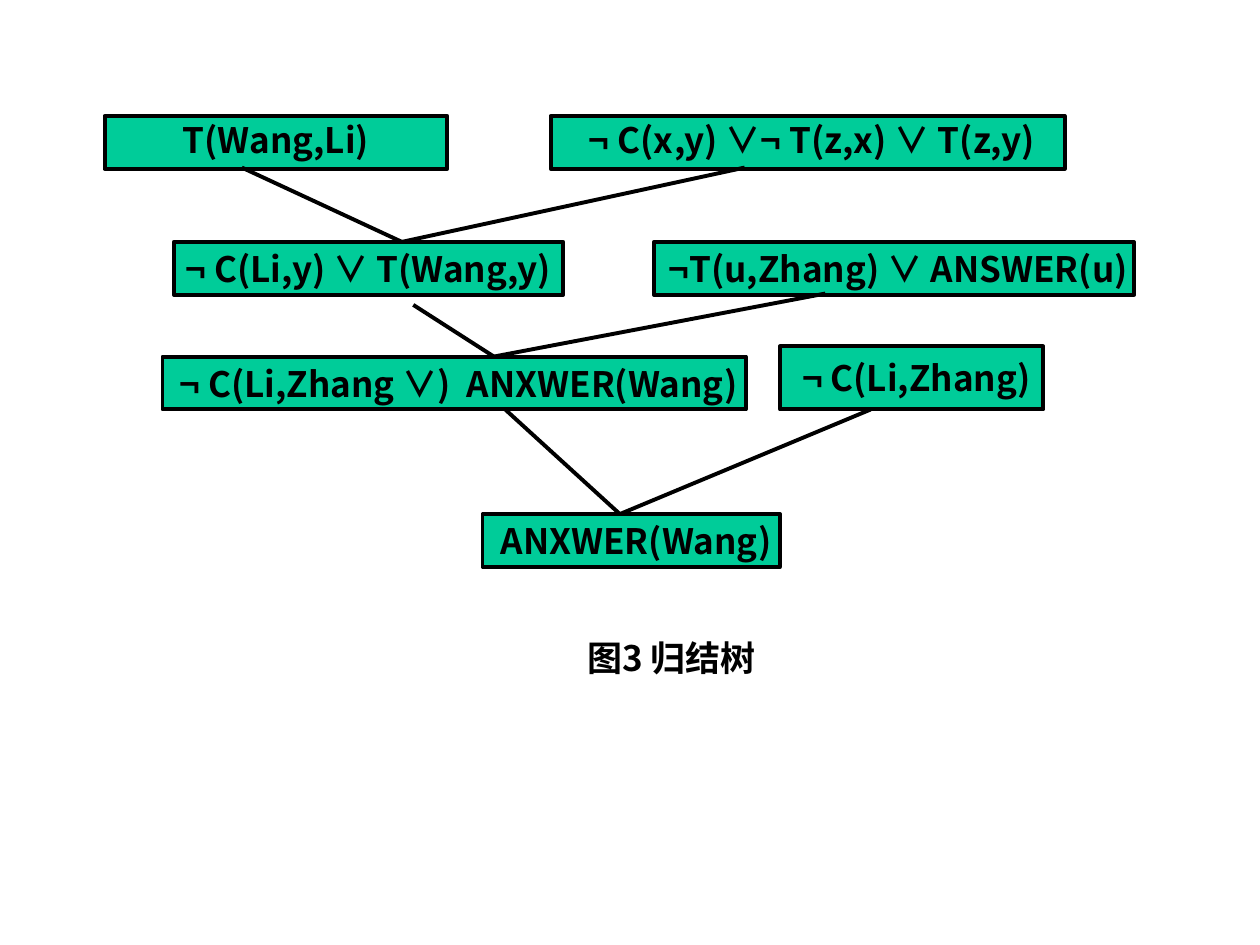
from lxml import etree
from pptx import Presentation
from pptx.dml.color import RGBColor
from pptx.enum.shapes import MSO_CONNECTOR, MSO_SHAPE
from pptx.enum.text import MSO_ANCHOR, PP_ALIGN
from pptx.oxml.ns import qn
from pptx.util import Inches, Pt

RECTANGLE = MSO_SHAPE.RECTANGLE
STRAIGHT = MSO_CONNECTOR.STRAIGHT
MIDDLE = MSO_ANCHOR.MIDDLE
CENTER = PP_ALIGN.CENTER

COLORS = {"node": "00CC99", "ink": "000000"}
MAIN_FONT = "Noto Sans CJK SC"
SERIF_FONT = "Times New Roman"
SANS_FONT = "Arial"
ROW_TOPS = [0.92, 1.92, 2.83, 4.08]
NODE_HEIGHT = 0.42


class TreeSlide:
    """Style of the resolution tree and the slide it is drawn on."""

    def __init__(self, slide):
        self.slide = slide
        self.ink = RGBColor.from_string(COLORS["ink"])
        self.fill = RGBColor.from_string(COLORS["node"])
        self.text_size = Pt(20)
        self.line_width = Pt(2.25)

    def outline(self, line):
        line.color.rgb = self.ink
        line.width = self.line_width

    def add_runs(self, paragraph, runs):
        paragraph.alignment = CENTER
        for text, font_name in runs:
            run = paragraph.add_run()
            run.text = text
            run.font.size = self.text_size
            run.font.bold = True
            run.font.color.rgb = self.ink
            run.font.name = font_name
            east_asian = etree.SubElement(run.font._element, qn("a:ea"))
            east_asian.set("typeface", font_name)

    def node(self, left, top, width, text, lead_font=None,
             height=NODE_HEIGHT, spacing=None):
        shape = self.slide.shapes.add_shape(
            RECTANGLE, Inches(left), Inches(top), Inches(width), Inches(height))
        shape.shadow.inherit = False
        shape.fill.solid()
        shape.fill.fore_color.rgb = self.fill
        self.outline(shape.line)
        frame = shape.text_frame
        frame.word_wrap = False
        frame.vertical_anchor = MIDDLE
        paragraph = frame.paragraphs[0]
        paragraph.line_spacing = spacing
        lead = [(" ", lead_font)] if lead_font else []
        self.add_runs(paragraph, lead + [(text, MAIN_FONT)])

    def edge(self, start, end):
        connector = self.slide.shapes.add_connector(
            STRAIGHT, *(Inches(value) for value in (*start, *end)))
        self.outline(connector.line)
        etree.SubElement(connector._element.spPr, qn("a:effectLst"))

    def caption(self, left, top, width, height, text):
        box = self.slide.shapes.add_textbox(
            Inches(left), Inches(top), Inches(width), Inches(height))
        box.text_frame.word_wrap = True
        self.add_runs(box.text_frame.paragraphs[0], [(text, MAIN_FONT)])


def main():
    presentation = Presentation()
    presentation.slide_width = Inches(10)
    presentation.slide_height = Inches(7.5)
    tree = TreeSlide(presentation.slides.add_slide(presentation.slide_layouts[6]))
    first, second, third, last = ROW_TOPS

    # Clauses, row by row
    tree.node(0.83, first, 2.72, "T(Wang,Li)", spacing=0.9)
    tree.node(4.37, first, 4.08, "¬ C(x,y) ∨¬ T(z,x) ∨ T(z,y)", SERIF_FONT,
              spacing=0.9)
    tree.node(1.38, second, 3.09, "¬ C(Li,y) ∨ T(Wang,y)")
    tree.node(5.19, second, 3.81, "¬T(u,Zhang) ∨ ANSWER(u)", SERIF_FONT)
    tree.node(1.29, third, 4.63, "¬ C(Li,Zhang ∨)  ANXWER(Wang)", SERIF_FONT)
    tree.node(6.19, 2.75, 2.09, "¬ C(Li,Zhang)", SANS_FONT, height=0.5)
    tree.node(3.83, last, 2.36, "ANXWER(Wang)", SANS_FONT)

    # Each resolvent is joined to its two parents
    resolutions = [
        ((3.19, second), (1.92, 1.33), (5.91, 1.33)),
        ((3.92, third), (3.28, 2.42), (6.55, 2.33)),
        ((4.92, last), (4.01, 3.25), (6.91, 3.25)),
    ]
    for resolvent, left_parent, right_parent in resolutions:
        tree.edge(left_parent, resolvent)
        tree.edge(resolvent, right_parent)

    # Caption
    tree.caption(2.74, 5, 5.18, 0.5, "图3 归结树")

    presentation.save("out.pptx")


if __name__ == "__main__":
    main()
